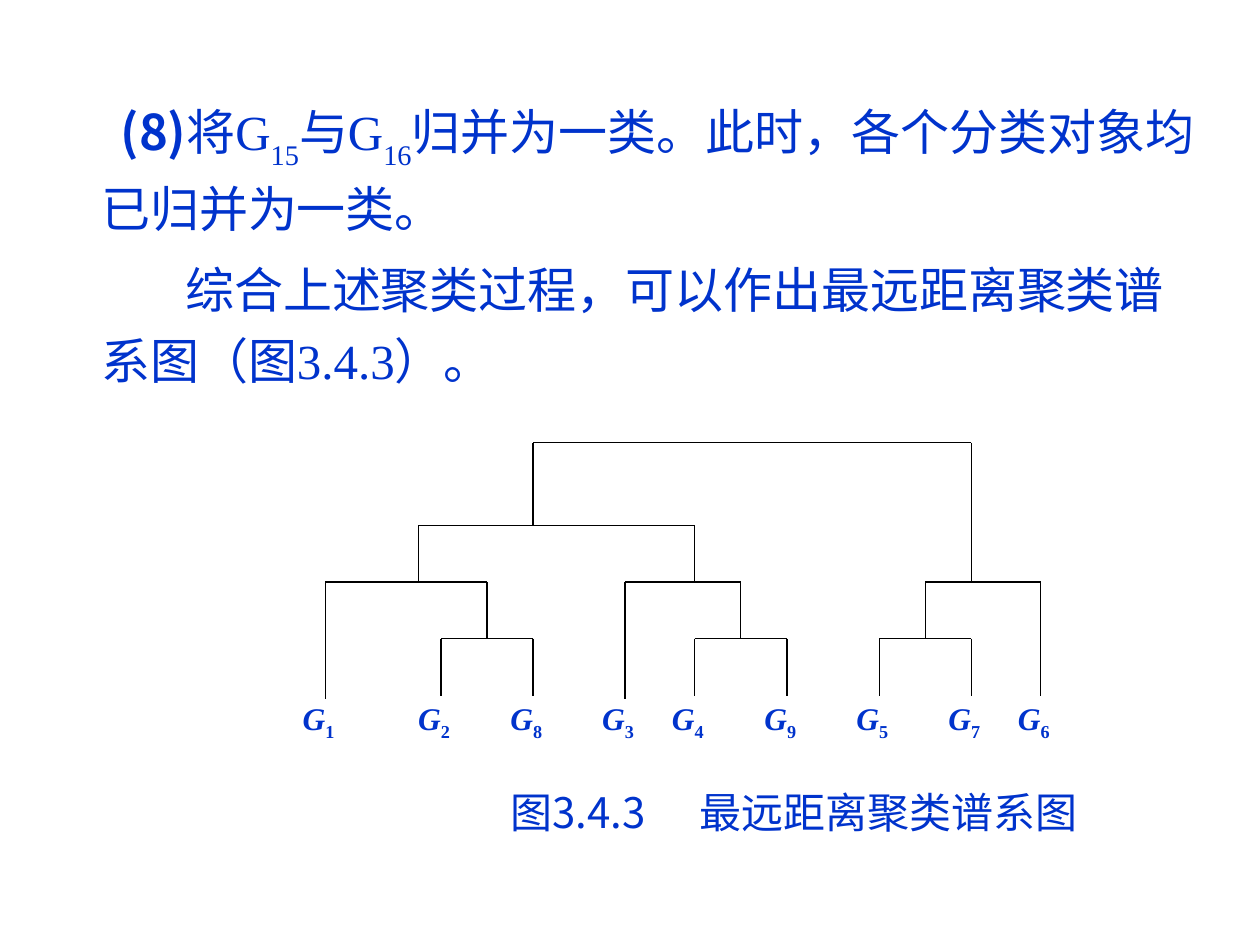
from lxml.etree import SubElement
from pptx import Presentation
from pptx.dml.color import RGBColor
from pptx.enum.shapes import MSO_CONNECTOR as Connector
from pptx.enum.text import MSO_ANCHOR as Anchor, PP_ALIGN as Align
from pptx.oxml.ns import qn
from pptx.util import Pt

COLORS = {"text": "0033CC", "line": "000000", "background": "FFFFFF"}
SERIF, SANS = "Times New Roman", "Noto Sans CJK SC"


def add_run(paragraph, text, size=28, font=SERIF, bold=False, italic=False, baseline=0):
    run = paragraph.add_run()
    run.text = text
    run.font.size = Pt(size)
    run.font.name = font
    run.font.bold = bold
    run.font.italic = italic
    run.font.color.rgb = RGBColor.from_string(COLORS["text"])
    properties = run.font._element
    if baseline:
        properties.set("baseline", str(baseline * 1000))
    SubElement(properties, qn("a:ea"), typeface=SANS)


class SlideBuilder:
    def __init__(self, presentation):
        self.slide = presentation.slides.add_slide(presentation.slide_layouts[6])
        fill = self.slide.background.fill
        fill.solid()
        fill.fore_color.rgb = RGBColor.from_string(COLORS["background"])

    def text_box(self, left, top, width, height, margins=(0, 0)):
        shape = self.slide.shapes.add_textbox(Pt(left), Pt(top), Pt(width), Pt(height))
        frame = shape.text_frame
        frame.word_wrap = True
        frame.vertical_anchor = Anchor.TOP
        frame.margin_left = frame.margin_right = Pt(margins[0])
        frame.margin_top = frame.margin_bottom = Pt(margins[1])
        return frame

    def paragraph(self, paragraph, runs, spacing=1.0, before=0, margin=0, indent=0, tab=None):
        properties = paragraph._p.get_or_add_pPr()
        properties.set("marL", str(Pt(margin)))
        properties.set("indent", str(Pt(indent)))
        if tab:
            tabs = SubElement(properties, qn("a:tabLst"))
            SubElement(tabs, qn("a:tab"), pos=str(Pt(tab)), algn="l")
        paragraph.alignment = Align.LEFT
        paragraph.line_spacing = spacing
        paragraph.space_before = Pt(before)
        for text, options in runs:
            add_run(paragraph, text, **options)

    def line(self, x1, y1, x2, y2):
        connector = self.slide.shapes.add_connector(
            Connector.STRAIGHT, Pt(x1), Pt(y1), Pt(x2), Pt(y2))
        connector.line.width = Pt(0.75)
        connector.line.color.rgb = RGBColor.from_string(COLORS["line"])
        SubElement(connector._element.spPr, qn("a:effectLst"))

    def merge(self, left, right, top, left_bottom, right_bottom):
        """Join two branches by a bar at the height where they merge."""
        self.line(left, top, right, top)
        self.line(left, top, left, left_bottom)
        self.line(right, top, right, right_bottom)

    def leaf_label(self, center, number):
        frame = self.text_box(center - 13, 399.6, 22, 29.5)
        style = {"size": 18, "bold": True}
        self.paragraph(frame.paragraphs[0], [
            ("G", {**style, "italic": True}),
            (number, {**style, "baseline": -25}),
        ])


def main():
    presentation = Presentation()
    presentation.slide_width, presentation.slide_height = Pt(720), Pt(540)
    builder = SlideBuilder(presentation)

    # Explanation
    frame = builder.text_box(23.8, 50, 672.5, 408.2, margins=(7.2, 3.6))
    subscript = {"baseline": -30}
    builder.paragraph(frame.paragraphs[0], [
        ("(8)", {"font": SANS, "bold": True}),
        ("将G", {}), ("15", subscript), ("与G", {}), ("16", subscript),
        ("归并为一类。此时，各个分类对象均已归并为一类。", {}),
    ], spacing=1.12, margin=27, indent=11)
    builder.paragraph(frame.add_paragraph(), [
        ("综合上述聚类过程，可以作出最远距离聚类谱系图（图3.4.3）。", {}),
    ], spacing=1.2, before=6, margin=27, indent=48)

    # Dendrogram: leaf positions and merge heights
    leaves = {"1": 185.9, "2": 252, "8": 304.6, "3": 357.1, "4": 396.9,
              "9": 449.8, "5": 502.4, "7": 555, "6": 594.7}
    root, upper, middle, lower, base = 252.9, 300.2, 332.6, 365, 397.6

    def midpoint(first, second):
        return (leaves[first] + leaves[second]) / 2

    pair_28, pair_49, pair_57 = midpoint("2", "8"), midpoint("4", "9"), midpoint("5", "7")
    for first, second in ("28", "49", "57"):
        builder.merge(leaves[first], leaves[second], lower, base, base)
    builder.merge(leaves["1"], pair_28, middle, base + 2, lower)
    builder.merge(leaves["3"], pair_49, middle, base + 2, lower)
    builder.merge(pair_57, leaves["6"], middle, lower, base)
    builder.merge(239, leaves["4"], upper, middle, middle)
    builder.merge(leaves["8"], leaves["7"], root, upper, middle)
    for number, center in leaves.items():
        builder.leaf_label(center, number)

    # Caption
    frame = builder.text_box(291.6, 451.4, 330, 29.5)
    builder.paragraph(frame.paragraphs[0], [
        ("图3.4.3\t最远距离聚类谱系图", {"size": 24, "font": SANS}),
    ], spacing=0.96, tab=99)

    presentation.save("out.pptx")


if __name__ == "__main__":
    main()
